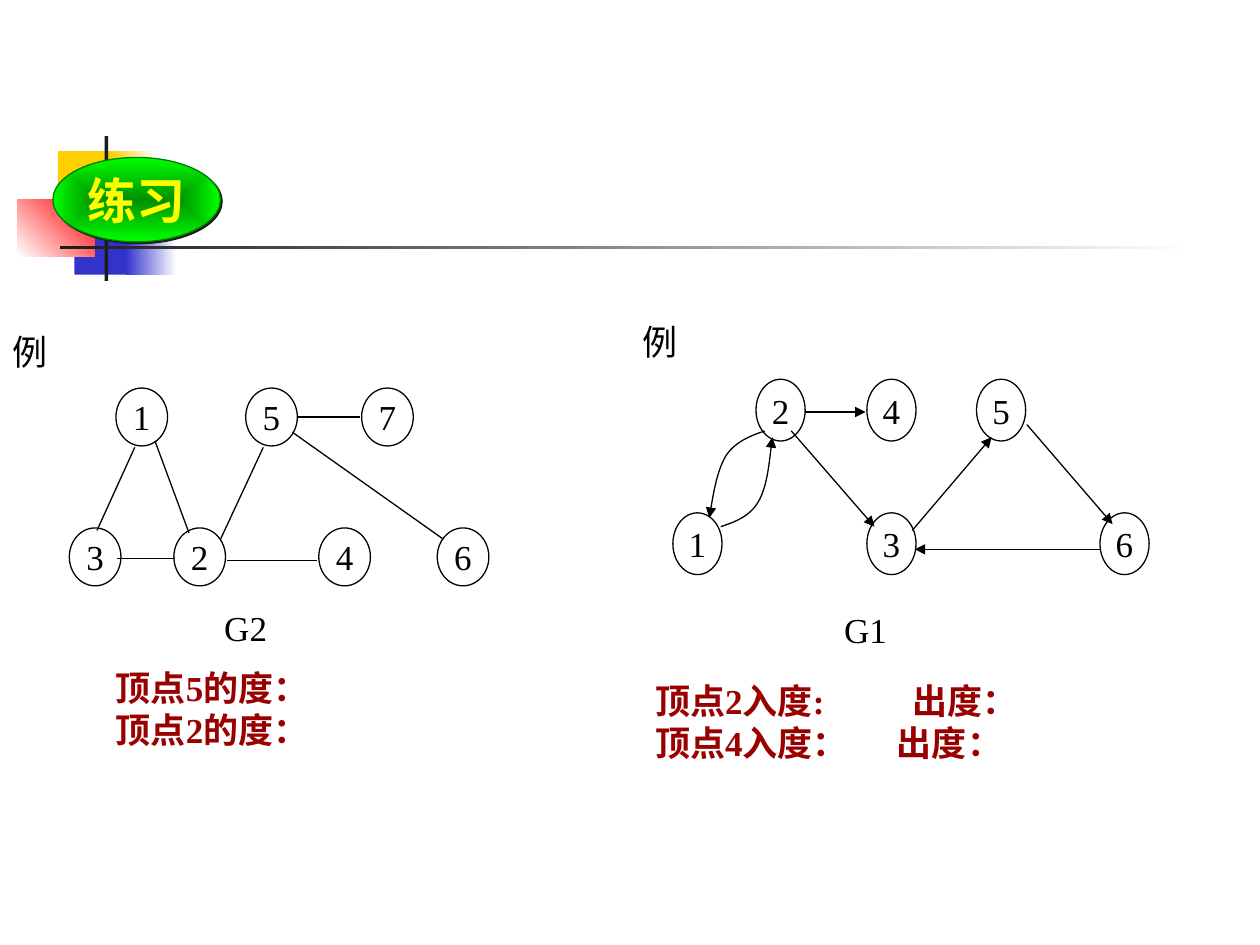
from typing import NamedTuple

from lxml.etree import SubElement
from pptx import Presentation
from pptx.dml.color import RGBColor
from pptx.enum.shapes import MSO_CONNECTOR, MSO_SHAPE
from pptx.enum.text import MSO_ANCHOR, MSO_AUTO_SIZE, PP_ALIGN
from pptx.oxml.ns import qn
from pptx.util import Inches, Pt

LATIN, ASIAN = "Times New Roman", "Noto Sans CJK SC"
BLACK, WHITE, DARK, RED = "000000", "FFFFFF", "1C1C1C", "990000"


class Block(NamedTuple):
    x: float
    y: float
    w: float
    h: float
    fill: str
    end: str = ""
    angle: int = 180


class Node(NamedTuple):
    text: str
    x: float
    y: float


class Edge(NamedTuple):
    x1: float
    y1: float
    x2: float
    y2: float


class Graph(NamedTuple):
    width: float
    height: float
    arrow: bool
    nodes: list[Node]
    edges: list[Edge]


def color(code: str) -> RGBColor:
    return RGBColor.from_string(code)


def blend(shape, start: str, end: str, angle: int) -> None:
    """Fill with two colours; the angle runs clockwise."""
    shape.fill.gradient()
    shape.fill.gradient_angle = 360 - angle
    for stop, code, place in zip(shape.fill.gradient_stops, (start, end), (0, 1)):
        stop.color.rgb = color(code)
        stop.position = place


def write(shape, text: str, *, size: int = 20, code: str = BLACK, bold: bool = False,
          font: str = LATIN, align=PP_ALIGN.CENTER, anchor=MSO_ANCHOR.MIDDLE,
          wrap: bool = False, tabs: tuple = ()) -> None:
    frame = shape.text_frame
    frame.word_wrap = wrap
    frame.vertical_anchor = anchor
    for i, line in enumerate(text.split("\n")):
        para = frame.add_paragraph() if i else frame.paragraphs[0]
        para.alignment = align
        if tabs:
            stops = SubElement(para._p.get_or_add_pPr(), qn("a:tabLst"))
            SubElement(stops, qn("a:tab"), pos=str(Inches(tabs[i])), algn="l")
        run = para.add_run()
        run.text = line
        run.font.size = Pt(size)
        run.font.bold = bold
        run.font.color.rgb = color(code)
        run.font.name = font
        SubElement(run._r.get_or_add_rPr(), qn("a:ea"), typeface=ASIAN)


def label(slide, text: str, x: float, y: float, w: float, h: float, **style) -> None:
    box = slide.shapes.add_textbox(Inches(x), Inches(y), Inches(w), Inches(h))
    write(box, text, **style)
    box.text_frame.auto_size = MSO_AUTO_SIZE.SHAPE_TO_FIT_TEXT


def stroke(shape, code: str = BLACK, arrow: bool = False) -> None:
    shape.line.color.rgb = color(code)
    shape.line.width = Pt(0.75)
    if arrow:
        SubElement(shape.line._get_or_add_ln(), qn("a:tailEnd"), type="triangle")


def draw_block(slide, block: Block) -> None:
    shape = slide.shapes.add_shape(MSO_SHAPE.RECTANGLE, *map(Inches, block[:4]))
    shape.shadow.inherit = False
    shape.line.fill.background()
    if block.end:
        blend(shape, block.fill, block.end, block.angle)
    else:
        shape.fill.solid()
        shape.fill.fore_color.rgb = color(block.fill)


def draw_graph(slide, graph: Graph) -> None:
    for node in graph.nodes:
        shape = slide.shapes.add_shape(MSO_SHAPE.OVAL, Inches(node.x), Inches(node.y),
                                       Inches(graph.width), Inches(graph.height))
        shape.shadow.inherit = False
        shape.fill.background()
        stroke(shape)
        write(shape, node.text)
    for edge in graph.edges:
        link = slide.shapes.add_connector(MSO_CONNECTOR.STRAIGHT, *map(Inches, edge))
        stroke(link, arrow=graph.arrow)
        SubElement(link._element.spPr, qn("a:effectLst"))


def draw_curve(slide, points: list[tuple[float, float]]) -> None:
    """Draw a start point followed by cubic pieces of three points each."""
    start, *rest = [(Inches(x), Inches(y)) for x, y in points]
    pen = slide.shapes.build_freeform(*start)
    pen.add_line_segments(rest, close=False)
    curve = pen.convert_to_shape()
    curve.shadow.inherit = False
    curve.fill.background()
    stroke(curve, arrow=True)
    # Turn each three straight pieces into one cubic piece
    steps = list(curve._element.iter(qn("a:lnTo")))
    track = steps[0].getparent()
    for i in range(0, len(steps), 3):
        cubic = SubElement(track, qn("a:cubicBezTo"))
        for step in steps[i:i + 3]:
            cubic.append(step[0])
            track.remove(step)


def draw_badge(slide) -> None:
    badge = slide.shapes.add_shape(MSO_SHAPE.OVAL, Inches(0.42), Inches(1.25),
                                   Inches(1.33), Inches(0.67))
    blend(badge, "009100", "00FF00", 0)
    grad = badge._element.spPr.find(qn("a:gradFill"))
    grad.remove(grad.find(qn("a:lin")))
    focus = SubElement(grad, qn("a:path"), path="rect")
    SubElement(focus, qn("a:fillToRect"), l="50000", t="50000", r="50000", b="50000")
    stroke(badge, "008000")
    badge.shadow.inherit = False
    glow = SubElement(badge._element.spPr.find(qn("a:effectLst")), qn("a:outerShdw"),
                      dist=str(Pt(1.4)), dir="2700000", algn="ctr", rotWithShape="0")
    SubElement(glow, qn("a:srgbClr"), val=DARK)
    write(badge, "练习", size=28, code="FFFF00", bold=True, font=ASIAN)


BLOCKS = [
    Block(0.46, 1.2, 0.48, 0.52, "FFCF01"),
    Block(0.88, 1.2, 0.36, 0.52, WHITE, "FFCF01"),
    Block(0.59, 1.66, 0.46, 0.52, "3333CC"),
    Block(1, 1.66, 0.4, 0.52, WHITE, "3333CC"),
    Block(0.14, 1.58, 0.61, 0.46, "FF0000", WHITE, 135),
    Block(0.83, 1.08, 0.03, 1.15, DARK),
    Block(0.48, 1.95, 9, 0.03, WHITE, DARK),
]
TOP1, LOW1, TOP2, LOW2 = 3.01, 4.07, 3.08, 4.19
G1 = Graph(0.39, 0.49, True, [
    Node("2", 6, TOP1), Node("4", 6.88, TOP1), Node("5", 7.75, TOP1),
    Node("1", 5.34, LOW1), Node("3", 6.88, LOW1), Node("6", 8.73, LOW1),
], [
    Edge(6.39, 3.27, 6.87, 3.27), Edge(6.28, 3.42, 6.94, 4.18),
    Edge(8.74, 4.36, 7.26, 4.36), Edge(7.24, 4.21, 7.87, 3.47),
    Edge(8.15, 3.37, 8.83, 4.16),
])
G2 = Graph(0.41, 0.46, False, [
    Node("1", 0.92, TOP2), Node("5", 1.95, TOP2), Node("7", 2.87, TOP2),
    Node("3", 0.55, LOW2), Node("2", 1.38, LOW2), Node("4", 2.53, LOW2),
    Node("6", 3.47, LOW2),
], [
    Edge(1.07, 3.55, 0.77, 4.21), Edge(0.93, 4.43, 1.39, 4.43),
    Edge(1.23, 3.5, 1.5, 4.23), Edge(2.09, 3.55, 1.75, 4.28),
    Edge(1.8, 4.45, 2.52, 4.45), Edge(2.36, 3.31, 2.86, 3.31),
    Edge(2.32, 3.43, 3.52, 4.28),
])
CURVES = [
    [(6.07, 3.42), (5.95, 3.46), (5.83, 3.51), (5.76, 3.62),
     (5.69, 3.74), (5.64, 4.04), (5.63, 4.11)],
    [(5.72, 4.18), (5.84, 4.14), (5.95, 4.1), (6.02, 3.98),
     (6.09, 3.86), (6.12, 3.54), (6.13, 3.47)],
]


def main() -> None:
    deck = Presentation()
    deck.slide_width, deck.slide_height = Inches(10), Inches(7.5)
    slide = deck.slides.add_slide(deck.slide_layouts[6])
    task = dict(code=RED, bold=True, align=PP_ALIGN.LEFT, anchor=MSO_ANCHOR.TOP)

    # Corner blocks and rule
    for block in BLOCKS:
        draw_block(slide, block)

    # Directed graph
    label(slide, "例", 5, 2.49, 0.48, 0.44)
    draw_graph(slide, G1)
    for points in CURVES:
        draw_curve(slide, points)
    label(slide, "G1", 6.6, 4.78, 0.54, 0.44)
    label(slide, "顶点2入度:\t出度：\n顶点4入度：\t出度：", 5.1, 5.34, 3.21, 0.77,
          wrap=True, tabs=(2.04, 1.92), **task)

    # Undirected graph
    label(slide, "例", 0, 2.57, 0.48, 0.44)
    draw_graph(slide, G2)
    label(slide, "G2", 1.68, 4.76, 0.54, 0.44)
    label(slide, "顶点5的度：\n顶点2的度：", 0.82, 5.24, 1.86, 0.77, **task)

    # Title badge
    draw_badge(slide)
    deck.save("out.pptx")


if __name__ == "__main__":
    main()
